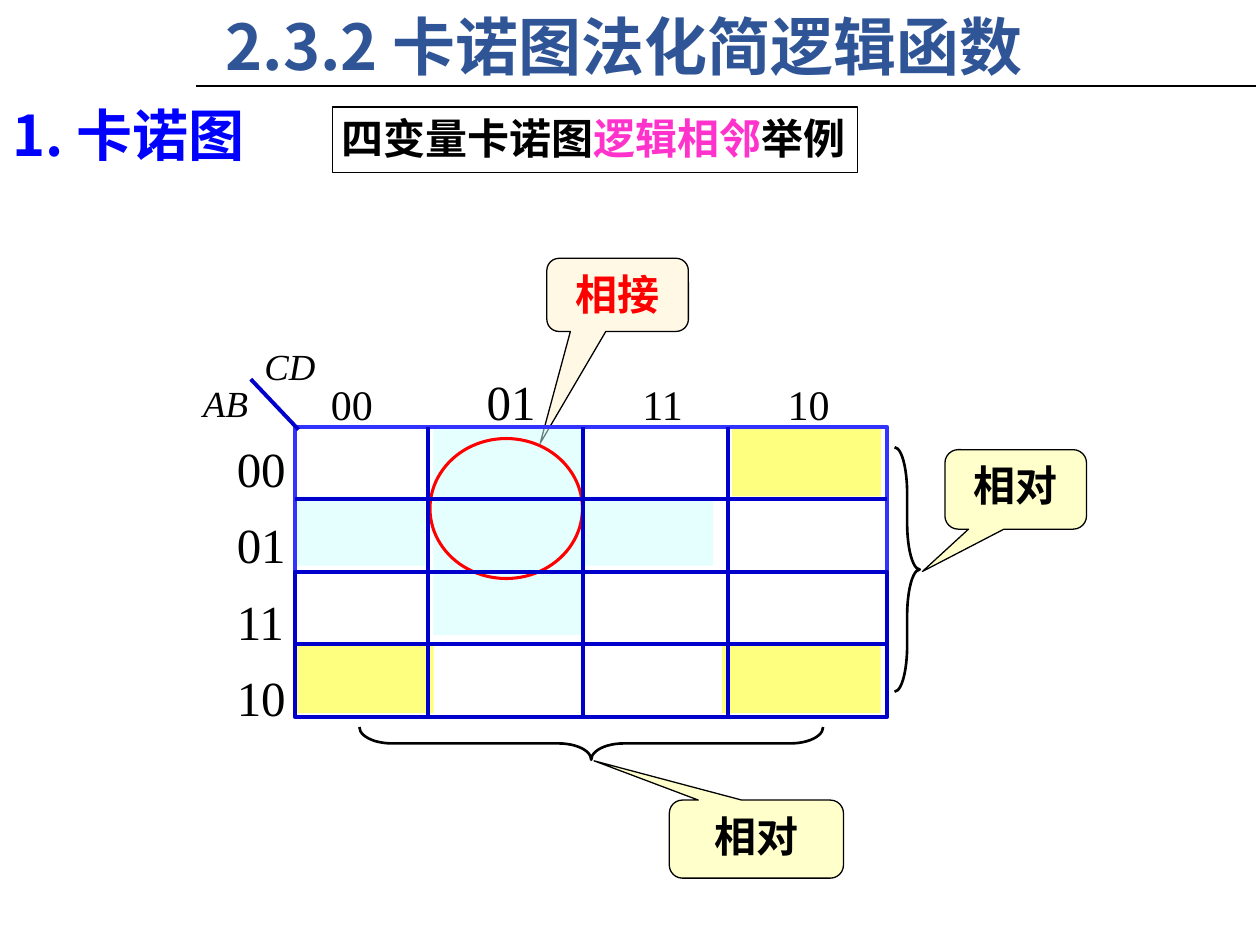
from dataclasses import dataclass

from lxml import etree
from pptx import Presentation
from pptx.dml.color import RGBColor
from pptx.enum.shapes import MSO_CONNECTOR, MSO_SHAPE
from pptx.enum.text import MSO_ANCHOR, PP_ALIGN
from pptx.oxml.ns import qn
from pptx.util import Pt

RECT, OVAL = MSO_SHAPE.RECTANGLE, MSO_SHAPE.OVAL
CALLOUT = MSO_SHAPE.ROUNDED_RECTANGULAR_CALLOUT
LEFT_BRACE, RIGHT_BRACE = MSO_SHAPE.LEFT_BRACE, MSO_SHAPE.RIGHT_BRACE
STRAIGHT = MSO_CONNECTOR.STRAIGHT
TOP = MSO_ANCHOR.TOP
LEFT, CENTER = PP_ALIGN.LEFT, PP_ALIGN.CENTER
LEFT_SIDE, RIGHT_SIDE = 1, 3


@dataclass(frozen=True)
class Theme:
    cjk: str = "Noto Sans CJK SC"
    serif: str = "Times New Roman"
    black: str = "000000"
    title: str = "2F5597"
    heading: str = "0000FF"
    accent: str = "FF33CC"
    red: str = "FF0000"
    cream: str = "FFF2CC"
    pale_yellow: str = "FFFF99"
    yellow: str = "FFFF00"
    cyan: str = "CCFFFF"
    grid: str = "0000CC"
    grid_top: str = "3333FF"
    title_size: float = 36
    heading_size: float = 32
    code_size: float = 28
    label_size: float = 24
    variable_size: float = 21
    thin: float = 0.75
    rule: float = 1.25
    brace: float = 1.5
    ring: float = 1.75
    thick: float = 2.25


class SlideBuilder:
    def __init__(self, slide, theme):
        self.slide, self.theme = slide, theme

    def style_run(self, run, size, color, font, bold=False, italic=False):
        run.font.size, run.font.name = Pt(size), font
        run.font.bold, run.font.italic = bold, italic
        run.font.color.rgb = RGBColor.from_string(color)
        east_asian = etree.SubElement(run.font._element, qn("a:ea"))
        east_asian.set("typeface", font)

    def fill_text(self, frame, text, size, color, font, align=LEFT, **style):
        frame.text = text
        frame.vertical_anchor = TOP
        for paragraph in frame.paragraphs:
            paragraph.alignment = align
            for run in paragraph.runs:
                self.style_run(run, size, color, font, **style)

    def add_runs(self, paragraph, pieces, font, bold=False):
        for words, size, color in pieces:
            run = paragraph.add_run()
            run.text = words
            self.style_run(run, size, color, font, bold=bold)

    def title(self, box, text):
        title = self.slide.shapes.title
        title.left, title.top, title.width, title.height = map(Pt, box)
        self.fill_text(title.text_frame, text, self.theme.title_size,
                       self.theme.title, self.theme.cjk, bold=True)

    def text_box(self, box):
        frame = self.slide.shapes.add_textbox(*map(Pt, box)).text_frame
        frame.word_wrap = True
        return frame

    def text(self, box, text, size, color, font, **style):
        frame = self.text_box(box)
        self.fill_text(frame, text, size, color, font, **style)
        return frame

    def tabbed_line(self, box, stops, pieces, font):
        paragraph = self.text_box(box).paragraphs[0]
        tab_list = etree.SubElement(paragraph._p.get_or_add_pPr(), qn("a:tabLst"))
        for stop in stops:
            etree.SubElement(tab_list, qn("a:tab"), pos=str(Pt(stop)), algn="l")
        self.add_runs(paragraph, pieces, font)

    def shape(self, kind, box, fill=None, line=None, width=0, adjust=()):
        shape = self.slide.shapes.add_shape(kind, *map(Pt, box))
        shape.shadow.inherit = False
        for index, value in enumerate(adjust):
            shape.adjustments[index] = value
        if fill:
            shape.fill.solid()
            shape.fill.fore_color.rgb = RGBColor.from_string(fill)
            # All fills are half transparent
            color = shape._element.spPr.find(qn("a:solidFill"))[0]
            etree.SubElement(color, qn("a:alpha")).set("val", "50000")
        else:
            shape.fill.background()
        if line:
            shape.line.color.rgb = RGBColor.from_string(line)
            shape.line.width = Pt(width)
        else:
            shape.line.fill.background()
        return shape

    def callout(self, box, text, fill, color, tip):
        theme = self.theme
        bubble = self.shape(CALLOUT, box, fill, theme.black, theme.thin, (*tip, 0.167))
        self.fill_text(bubble.text_frame, text, theme.label_size, color, theme.cjk,
                       align=CENTER, bold=True)

    def line(self, start, end, color, width):
        line = self.slide.shapes.add_connector(STRAIGHT, *map(Pt, (*start, *end)))
        line.line.color.rgb = RGBColor.from_string(color)
        line.line.width = Pt(width)
        etree.SubElement(line._element.spPr, qn("a:effectLst"))
        return line


def main():
    theme = Theme()
    deck = Presentation()
    deck.slide_width, deck.slide_height = Pt(720), Pt(540)
    page = SlideBuilder(deck.slides.add_slide(deck.slide_layouts[5]), theme)

    # Title, rule and section heading
    page.title((121.7, 0.7, 510.5, 51), "2.3.2 卡诺图法化简逻辑函数")
    page.line((112.3, 49), (718, 49), theme.black, theme.rule)
    page.text((0, 54, 198, 46), "1. 卡诺图", theme.heading_size,
              theme.heading, theme.cjk, bold=True)

    # Topic box with the highlighted term
    topic = page.shape(RECT, (190, 61.2, 300.2, 37.5), line=theme.black, width=theme.thin)
    frame = topic.text_frame
    frame.margin_left = frame.margin_right = Pt(5)
    frame.margin_top = frame.margin_bottom = Pt(3)
    frame.vertical_anchor = TOP
    frame.paragraphs[0].alignment = LEFT
    page.add_runs(frame.paragraphs[0], (
        ("四变量卡诺图", theme.label_size, theme.black),
        ("逻辑相邻", theme.label_size, theme.accent),
        ("举例", theme.label_size, theme.black),
    ), theme.cjk, bold=True)

    # Callouts
    for box, words, fill, color, tip in (
        ((312.5, 147.6, 80.9, 41.8), "相接", theme.cream, theme.red, (-0.547, 2.029)),
        ((540, 257, 80.9, 45.4), "相对", theme.pale_yellow, theme.black, (-0.659, 1.032)),
        ((382.5, 457.2, 99.5, 44.6), "相对", theme.pale_yellow, theme.black, (-0.933, -1.004)),
    ):
        page.callout(box, words, fill, color, tip)

    # Braces joining the opposite rows and columns
    page.shape(RIGHT_BRACE, (511.2, 255.6, 14.4, 139.7), line=theme.black,
               width=theme.brace, adjust=(1.832, 0.5))
    column_brace = page.shape(LEFT_BRACE, (328.5, 292.3, 18.7, 265), line=theme.black,
                              width=theme.brace, adjust=(1, 0.5))
    column_brace.rotation = 270

    # Shaded cells and the ring around the adjacent pair
    for fill, boxes in (
        (theme.yellow, ((418.3, 244, 85, 39.6), (167.8, 368, 80, 39.6),
                        (412.6, 368, 90.7, 39.6))),
        (theme.cyan, ((167.8, 283.7, 75, 39.6), (332.6, 283.7, 75, 39.6),
                      (247.7, 244, 85, 118.8))),
    ):
        for box in boxes:
            page.shape(RECT, box, fill)
    page.shape(OVAL, (245.7, 250.6, 87.1, 80), line=theme.red, width=theme.ring)

    # Column codes, row codes and variable names
    page.tabbed_line((182, 209, 312, 41), (89, 178, 261), (
        ("00\t", theme.label_size, theme.black),
        ("01", theme.code_size, theme.black),
        ("\t11\t10", theme.label_size, theme.black),
    ), theme.serif)
    rows = page.text((128.2, 236.9, 51.8, 183.6), "00\n01\n11\n10", theme.code_size,
                     theme.black, theme.serif)
    for paragraph in rows.paragraphs:
        paragraph.line_spacing = 1.3
    for box, name in (((144, 193, 51.8, 41), "CD"), ((109, 214, 48.2, 41), "AB")):
        page.text(box, name, theme.variable_size, theme.black, theme.serif, italic=True)

    # Map grid: two halves, each split by a line between its sides
    left, top, width, half = 168.5, 244, 338.5, 82.8
    for index, color in enumerate((theme.grid_top, theme.grid)):
        outline = page.shape(RECT, (left, top + index * half, width, half),
                             line=color, width=theme.thick)
        middle = top + (index + 0.5) * half
        divider = page.line((left, middle), (left + width, middle), theme.grid, theme.thick)
        divider.begin_connect(outline, LEFT_SIDE)
        divider.end_connect(outline, RIGHT_SIDE)
    for x in (244.8, 333.4, 416.2):
        page.line((x, top), (x, top + 2 * half), theme.grid, theme.thick)
    page.line((170.6, 245.5), (143.3, 216.7), theme.grid, theme.thick)

    deck.save("out.pptx")


if __name__ == "__main__":
    main()
